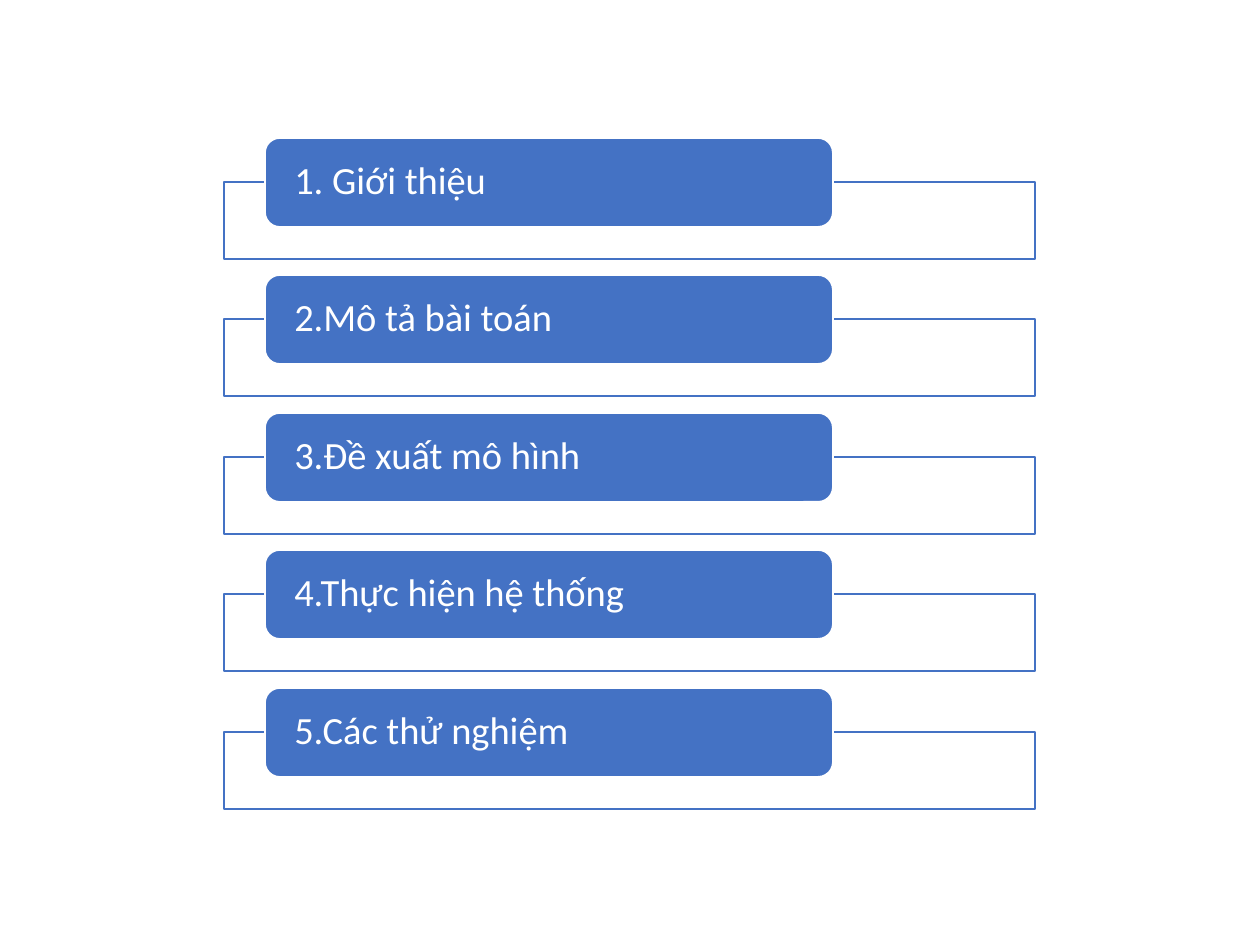
from pptx import Presentation
from pptx.dml.color import RGBColor
from pptx.enum.shapes import MSO_SHAPE
from pptx.enum.text import MSO_ANCHOR, PP_ALIGN
from pptx.util import Emu, Pt

EMU_PER_PX = 914400 // 126
BLUE = RGBColor(0x44, 0x72, 0xC4)
WHITE = RGBColor(0xFF, 0xFF, 0xFF)

TOPICS = [
    "1. Giới thiệu",
    "2.Mô tả bài toán",
    "3.Đề xuất mô hình",
    "4.Thực hiện hệ thống",
    "5.Các thử nghiệm",
]
FIRST_TOP = 138
STACK_SPAN = 550  # from the first heading to the last
HEADING_LEFT, HEADING_WIDTH, HEADING_HEIGHT = 265, 568, 89
FRAME_LEFT, FRAME_WIDTH, FRAME_HEIGHT = 224, 811, 77
TEXT_INSET = 25


def px(length):
    return Emu(length * EMU_PER_PX)


def apply_format(target, values):
    for name, value in values.items():
        setattr(target, name, value)


def add_box(slide, kind, bounds, fill, outline):
    box = slide.shapes.add_shape(kind, *map(px, bounds))
    box.shadow.inherit = False
    box.fill.solid()
    box.fill.fore_color.rgb = fill
    box.line.color.rgb = outline
    box.line.width = Pt(1)
    return box


def add_frame(slide, top):
    bounds = (FRAME_LEFT, top, FRAME_WIDTH, FRAME_HEIGHT)
    add_box(slide, MSO_SHAPE.RECTANGLE, bounds, WHITE, BLUE)


def add_heading(slide, top, topic):
    bounds = (HEADING_LEFT, top, HEADING_WIDTH, HEADING_HEIGHT)
    heading = add_box(slide, MSO_SHAPE.ROUNDED_RECTANGLE, bounds, BLUE, WHITE)
    apply_format(heading.text_frame, {
        "word_wrap": True,
        "vertical_anchor": MSO_ANCHOR.MIDDLE,
        "margin_left": px(TEXT_INSET),
        "margin_right": px(TEXT_INSET),
        "margin_top": 0,
        "margin_bottom": 0,
    })
    label = heading.text_frame.paragraphs[0]
    apply_format(label, {"alignment": PP_ALIGN.LEFT, "line_spacing": 0.9})
    run = label.add_run()
    run.text = topic
    apply_format(run.font, {"name": "Calibri", "size": Pt(22)})
    run.font.color.rgb = WHITE


def main():
    deck = Presentation()
    apply_format(deck, {"slide_width": px(1260), "slide_height": px(945)})
    slide = deck.slides.add_slide(deck.slide_layouts[6])

    # Each heading sits over the top edge of its frame
    for index, topic in enumerate(TOPICS):
        top = FIRST_TOP + index * STACK_SPAN // (len(TOPICS) - 1)
        add_frame(slide, top + HEADING_HEIGHT // 2)
        add_heading(slide, top, topic)

    deck.save("out.pptx")


if __name__ == "__main__":
    main()
